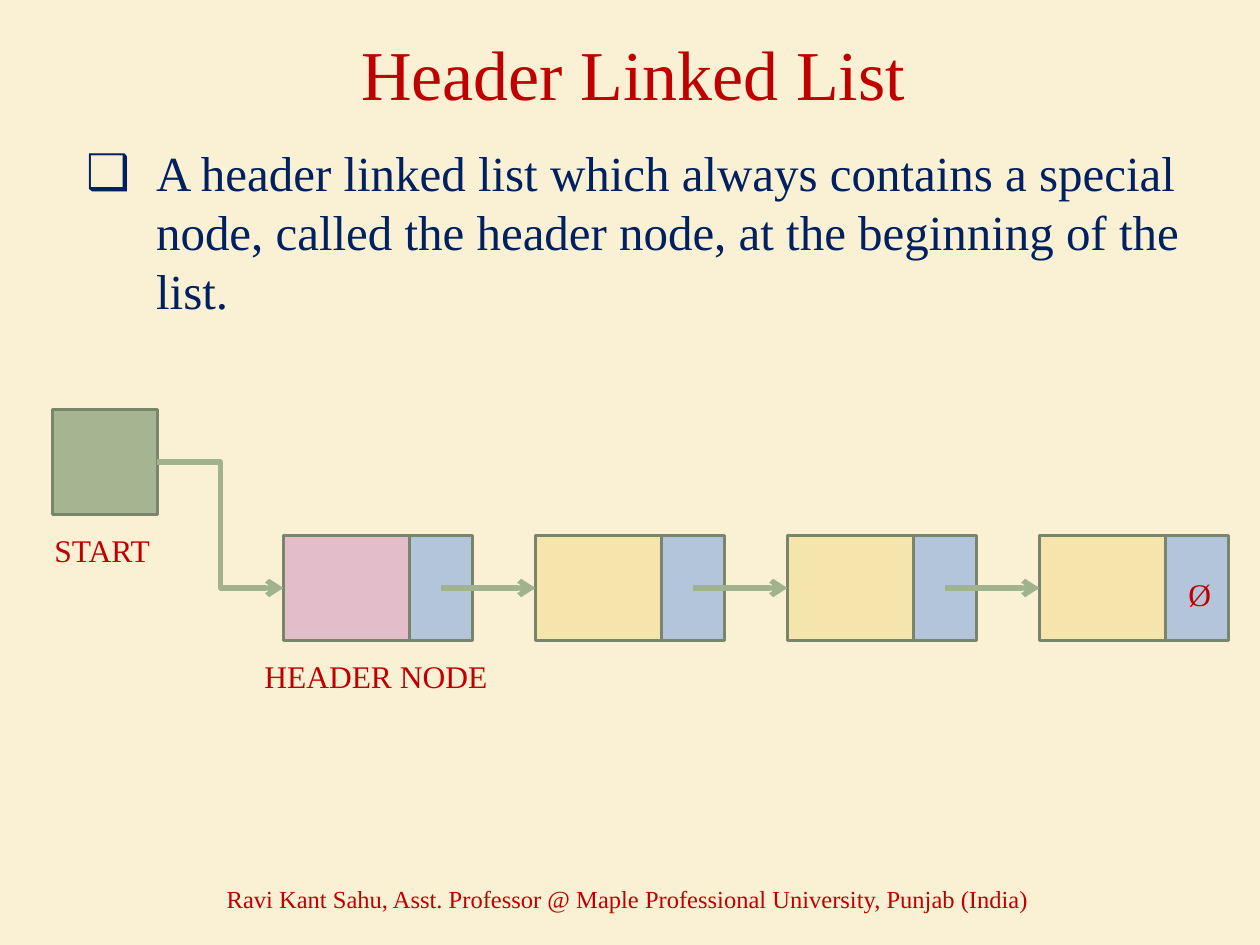
import dataclasses

import pptx
import pptx.dml.color
import pptx.enum.shapes
import pptx.enum.text
import pptx.oxml
import pptx.oxml.ns
import pptx.util

Pt = pptx.util.Pt
Align = pptx.enum.text.PP_ALIGN
Anchor = pptx.enum.text.MSO_ANCHOR
Connector = pptx.enum.shapes.MSO_CONNECTOR
LEFT_SITE, RIGHT_SITE = 1, 3


@dataclasses.dataclass(frozen=True)
class Theme:
    """Colours, font and type sizes of the slide."""
    font: str = "Times New Roman"
    background: str = "FAF1D4"
    accent: str = "C00000"
    body: str = "002060"
    outline: str = "7A866C"
    link: str = "A1B28E"
    start: str = "A5B592"
    header: str = "E3BECA"
    data: str = "F5E4AB"
    pointer: str = "B3C5DA"
    title_size: int = 40
    body_size: int = 28
    label_size: int = 18
    footer_size: int = 14


THEME = Theme()


def rgb(value):
    """Turn a hex string into a colour."""
    return pptx.dml.color.RGBColor.from_string(value)


def write(frame, text, size, color, align=Align.LEFT, anchor=Anchor.TOP):
    """Write one formatted paragraph into a text frame and return it."""
    frame.text = text
    frame.word_wrap = True
    frame.auto_size = pptx.enum.text.MSO_AUTO_SIZE.NONE
    frame.vertical_anchor = anchor
    paragraph = frame.paragraphs[0]
    paragraph.alignment = align
    paragraph.font.name = THEME.font
    paragraph.font.size = Pt(size)
    paragraph.font.color.rgb = rgb(color)
    return paragraph


def move(part, box):
    """Place a placeholder in a box of left, top, width, height."""
    part.left, part.top, part.width, part.height = map(Pt, box)


def add_heading(slide, box, text):
    """Fill the title placeholder."""
    heading = slide.shapes.title
    move(heading, box)
    write(heading.text_frame, text, THEME.title_size, THEME.accent,
          Align.CENTER, Anchor.MIDDLE)


def add_definition(slide, box, text):
    """Fill the body placeholder with one bulleted paragraph."""
    definition = slide.placeholders[1]
    move(definition, box)
    paragraph = write(definition.text_frame, text, THEME.body_size, THEME.body)
    properties = paragraph._p.get_or_add_pPr()
    properties.set("marL", str(Pt(40)))
    properties.set("indent", str(Pt(-40)))
    bullet = pptx.oxml.parse_xml(
        f'<a:buChar {pptx.oxml.ns.nsdecls("a")} char="\u2751"/>')
    properties.append(bullet)


def add_label(slide, box, text, size=THEME.label_size, **layout):
    """Add a text box in the accent colour."""
    label = slide.shapes.add_textbox(*map(Pt, box))
    write(label.text_frame, text, size, THEME.accent, **layout)


def add_cell(slide, box, fill):
    """Add one outlined memory cell."""
    cell = slide.shapes.add_shape(
        pptx.enum.shapes.MSO_SHAPE.RECTANGLE, *map(Pt, box))
    cell.shadow.inherit = False
    cell.fill.solid()
    cell.fill.fore_color.rgb = rgb(fill)
    cell.line.color.rgb = rgb(THEME.outline)
    cell.line.width = Pt(2)
    return cell


def add_node(slide, box, fill):
    """Add a node: two thirds data, one third pointer."""
    left, top, width, height = box
    data_width = width * 2 / 3
    data = add_cell(slide, (left, top, data_width, height), fill)
    pointer = add_cell(
        slide, (left + data_width, top, width / 3, height), THEME.pointer)
    return data, pointer


def add_link(slide, kind, source, target, glued=False):
    """Add an arrow from a cell to the left side of the target cell."""
    middle = source.top + source.height // 2
    link = slide.shapes.add_connector(
        kind, source.left + source.width // 2, middle,
        target.left, target.top + target.height // 2)
    if glued:
        link.begin_connect(source, RIGHT_SITE)
    link.end_connect(target, LEFT_SITE)
    link.line.color.rgb = rgb(THEME.link)
    link.line.width = Pt(3)
    namespace = pptx.oxml.ns.nsdecls("a")
    properties = link._element.spPr
    properties.find(pptx.oxml.ns.qn("a:ln")).append(
        pptx.oxml.parse_xml(f'<a:tailEnd {namespace} type="arrow"/>'))
    properties.append(pptx.oxml.parse_xml(f"<a:effectLst {namespace}/>"))


def add_linked_list(slide, box):
    """Draw the start pointer and the chain of nodes inside the box."""
    left, top, width, _ = box
    side, node_width, pitch, count = 60, 108, 144, 4
    chain_left = left + width - (count - 1) * pitch - node_width
    chain_top = top + 72

    start = add_cell(slide, (left, top, side, side), THEME.start)
    nodes = [
        add_node(slide, (chain_left + i * pitch, chain_top, node_width, side),
                 THEME.data if i else THEME.header)
        for i in range(count)]

    add_link(slide, Connector.ELBOW, start, nodes[0][0], glued=True)
    for (_, pointer), (data, _) in zip(nodes, nodes[1:]):
        add_link(slide, Connector.STRAIGHT, pointer, data)

    add_label(slide, (left - 6, top + 66, 70, 29), "START")
    add_label(slide, (chain_left - 18, chain_top + 66, 143, 29), "HEADER NODE")
    add_label(slide, (left + width - 30, chain_top + 19, 27, 29), "\u00d8")


def build():
    """Build and save the slide."""
    deck = pptx.Presentation()
    deck.slide_width, deck.slide_height = Pt(720), Pt(540)
    slide = deck.slides.add_slide(deck.slide_layouts[1])
    slide.background.fill.solid()
    slide.background.fill.fore_color.rgb = rgb(THEME.background)

    add_heading(slide, (39.6, 0, 644.4, 82.8), "Header Linked List")
    add_definition(
        slide, (42, 78, 678, 414),
        "A header linked list which always contains a special node, "
        "called the header node, at the beginning of the list.")
    add_linked_list(slide, (30, 234, 672, 132))
    add_label(
        slide, (60, 499, 597.6, 29),
        "Ravi Kant Sahu, Asst. Professor @ Maple Professional University, "
        "Punjab (India)",
        THEME.footer_size, align=Align.CENTER, anchor=Anchor.MIDDLE)
    deck.save("out.pptx")


build()
